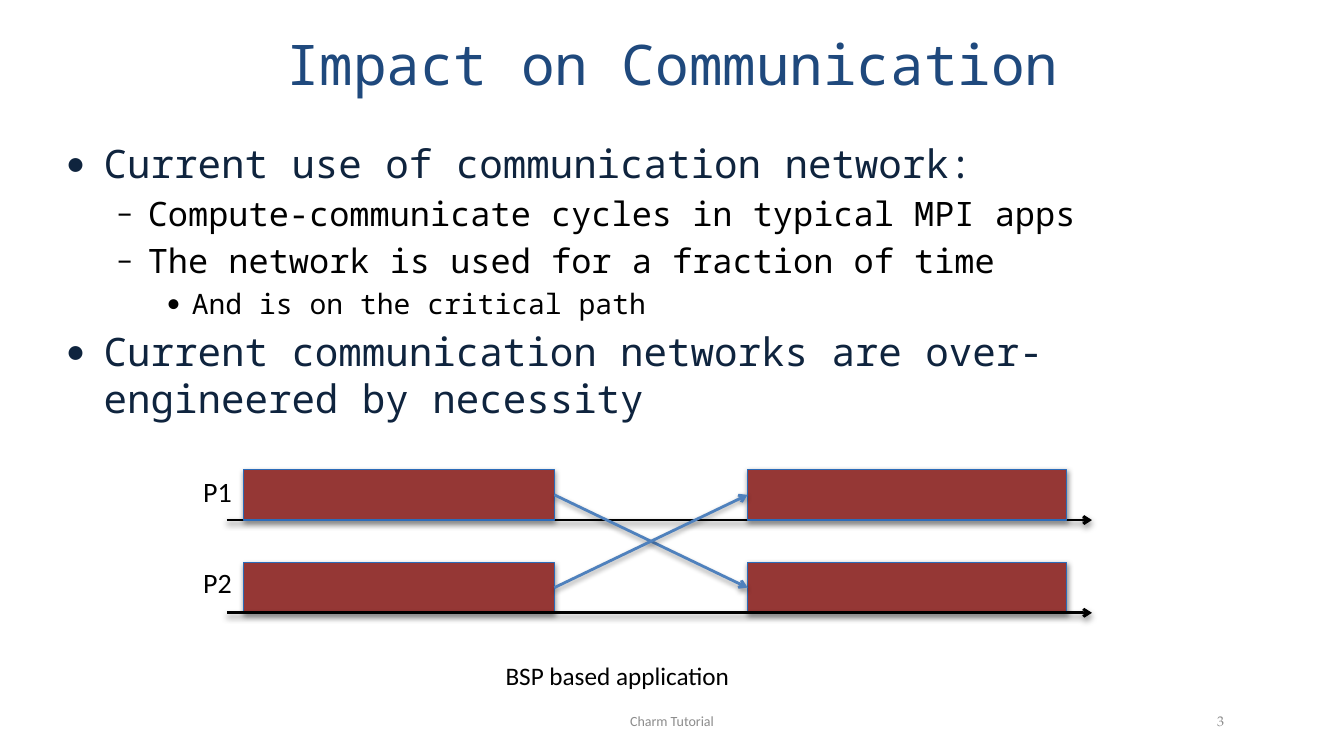
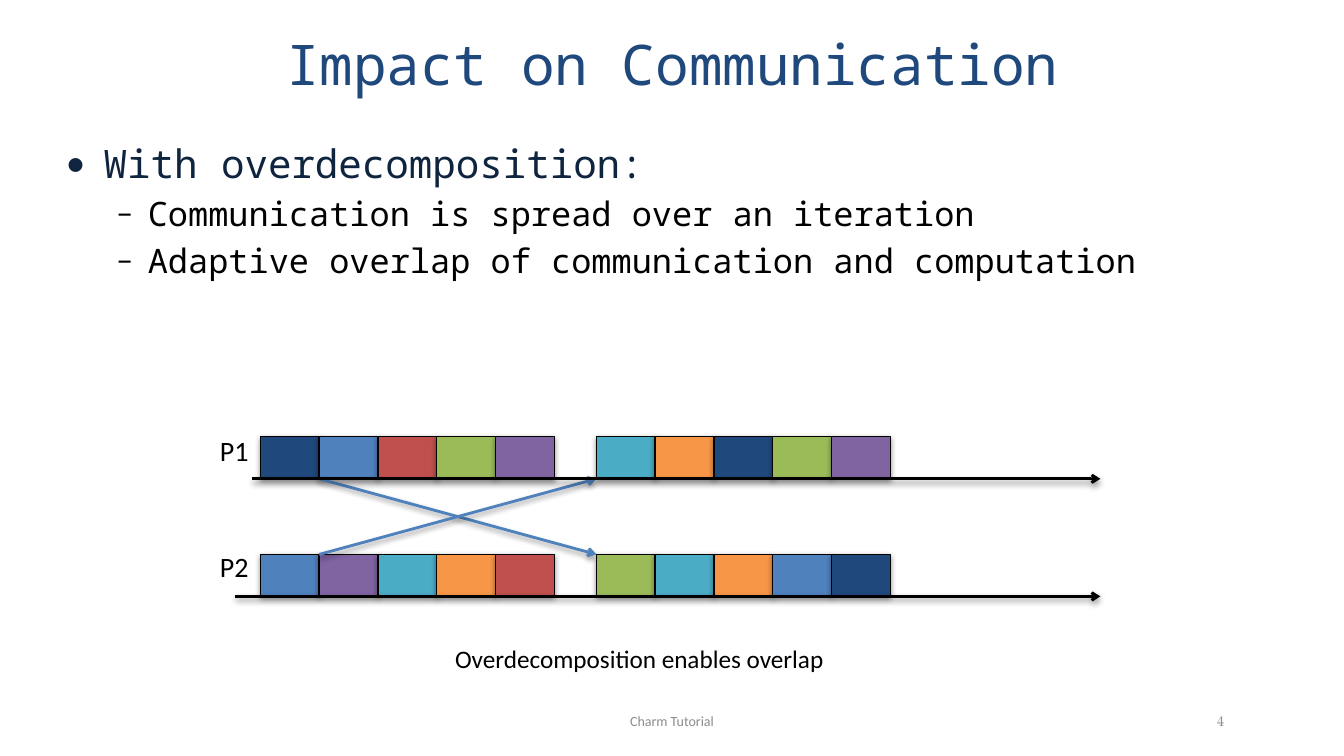
from collections import namedtuple
from dataclasses import dataclass

from lxml.etree import SubElement
from pptx import Presentation
from pptx.dml.color import RGBColor
from pptx.enum.shapes import MSO_CONNECTOR as CONNECTOR, MSO_SHAPE as SHAPE
from pptx.enum.text import MSO_ANCHOR as ANCHOR, PP_ALIGN as ALIGN
from pptx.oxml.ns import qn
from pptx.util import Pt

Box = namedtuple("Box", "left top width height")


@dataclass(frozen=True)
class Theme:
    """Colours, fonts and sizes shared by the slides."""
    navy: str = "1F497D"
    dark: str = "0F243E"
    blue: str = "4F81BD"
    red: str = "C0504D"
    green: str = "9BBB59"
    purple: str = "8064A2"
    teal: str = "4BACC6"
    orange: str = "F79646"
    brick: str = "953735"
    edge: str = "2C6CB9"
    black: str = "000000"
    grey: str = "8C8C8C"
    mono: str = "Noto Sans Mono"
    sans: str = "Calibri"
    serif: str = "TeX Gyre Pagella"
    title: int = 40
    label: int = 20
    caption: int = 18
    footer: int = 10


THEME = Theme()
LEVELS = (
    {"bullet": "•", "margin": 27, "hang": 27, "size": 28, "color": THEME.dark},
    {"bullet": "–", "margin": 58.5, "hang": 22.5, "size": 24, "color": THEME.black},
    {"bullet": "•", "margin": 90, "hang": 18, "size": 20, "color": THEME.black},
)


def apply_format(target, values):
    """Set each named attribute of the target."""
    for name, value in values.items():
        setattr(target, name, value)


def apply_font(paragraph, font_name, size, color):
    """Set the face, size and colour of a paragraph."""
    apply_format(paragraph.font, {"name": font_name, "size": Pt(size)})
    paragraph.font.color.rgb = RGBColor.from_string(color)


def apply_line(line, color, width):
    """Set the colour and width of a line."""
    line.color.rgb = RGBColor.from_string(color)
    line.width = Pt(width)


def add_shadow(shape, distance, opacity):
    """Give a shape or connector a soft shadow straight below it."""
    effects = SubElement(shape.element.spPr, qn("a:effectLst"))
    shadow = SubElement(effects, qn("a:outerShdw"), blurRad=str(Pt(4)),
                        dist=str(Pt(distance)), dir="5400000", rotWithShape="0")
    color = SubElement(shadow, qn("a:srgbClr"), val=THEME.black)
    SubElement(color, qn("a:alpha"), val=str(opacity * 1000))


def add_frame(slide, box, anchor=ANCHOR.TOP):
    """Add a wrapping text box and return its text frame."""
    frame = slide.shapes.add_textbox(*map(Pt, box)).text_frame
    apply_format(frame, {"word_wrap": True, "vertical_anchor": anchor})
    return frame


def add_text(slide, box, text, font, align=ALIGN.LEFT, anchor=ANCHOR.TOP):
    """Add a text box holding one paragraph."""
    paragraph = add_frame(slide, box, anchor).paragraphs[0]
    apply_format(paragraph, {"text": text, "alignment": align})
    apply_font(paragraph, *font)


def add_bullets(slide, box, items):
    """Fill the box with (level, text) bullet items."""
    frame = add_frame(slide, box)
    for index, (level, text) in enumerate(items):
        style = LEVELS[level]
        paragraph = frame.add_paragraph() if index else frame.paragraphs[0]
        before = 0.2 * style["size"] if index else 0
        apply_format(paragraph, {"text": text, "level": level, "space_before": Pt(before)})
        properties = paragraph._p.get_or_add_pPr()
        properties.set("marL", str(Pt(style["margin"])))
        properties.set("indent", str(-Pt(style["hang"])))
        SubElement(properties, qn("a:buFont"), typeface=THEME.sans)
        SubElement(properties, qn("a:buChar"), char=style["bullet"])
        apply_font(paragraph, THEME.mono, style["size"], style["color"])


def add_bar(slide, box, fill, edge):
    """Add a filled rectangle with a shadow."""
    bar = slide.shapes.add_shape(SHAPE.RECTANGLE, *map(Pt, box))
    bar.fill.solid()
    bar.fill.fore_color.rgb = RGBColor.from_string(fill)
    apply_line(bar.line, edge, 1)
    add_shadow(bar, 1.6, 42)
    return bar


def add_arrow(slide, start, end, color):
    """Add a straight arrow between two points."""
    arrow = slide.shapes.add_connector(CONNECTOR.STRAIGHT, *map(Pt, (*start, *end)))
    apply_line(arrow.line, color, 2)
    SubElement(arrow.line._get_or_add_ln(), qn("a:tailEnd"), type="arrow")
    add_shadow(arrow, 2, 40)
    return arrow


def add_labels(slide, left, tops):
    """Name the two processors."""
    for number, top in enumerate(tops, 1):
        add_text(slide, Box(left, top, 42, 32), f"P{number}",
                 (THEME.sans, THEME.label, THEME.black))


def add_bulk_diagram(slide, box):
    """Draw two processors that compute, exchange and compute again."""
    bar_height, pitch = 36, 66.25
    spans = ((36, 222), (396, 228))
    tops = [box.top + row * pitch for row in range(2)]
    right = box.left + box.width

    def draw_axis(top):
        """Draw the time axis under a row."""
        base = top + bar_height
        add_arrow(slide, (box.left + 24, base), (right, base), THEME.black)

    draw_axis(tops[0])
    rows = [[add_bar(slide, Box(box.left + offset, top, width, bar_height),
                     THEME.brick, THEME.edge) for offset, width in spans]
            for top in tops]
    for (sender, _), (_, receiver) in zip(rows, reversed(rows)):
        arrow = add_arrow(slide, (0, 0), (1, 1), THEME.blue)
        arrow.begin_connect(sender, 3)
        arrow.end_connect(receiver, 1)
    draw_axis(tops[1])
    add_labels(slide, box.left, (tops[0], tops[1] - 1.5))
    add_text(slide, Box(box.left + 216, box.top + 132.5, 264, 29),
             "BSP based application", (THEME.sans, THEME.caption, THEME.black))


def add_overlap_diagram(slide, box):
    """Draw two processors whose small tasks overlap with messages."""
    theme = THEME
    cell_width, cell_height, pitch = 42, 30, 84
    starts = (box.left + 36, box.left + 276)
    tops = (box.top, box.top + pitch)
    bases = [top + cell_height for top in tops]
    tasks = (
        ((theme.navy, theme.blue, theme.red, theme.green, theme.purple),
         (theme.teal, theme.orange, theme.navy, theme.green, theme.purple)),
        ((theme.blue, theme.purple, theme.teal, theme.orange, theme.red),
         (theme.green, theme.teal, theme.orange, theme.blue, theme.navy)),
    )
    for top, groups in zip(tops, tasks):
        for start, colors in zip(starts, groups):
            for column, color in enumerate(colors):
                cell = Box(start + column * cell_width, top, cell_width, cell_height)
                add_bar(slide, cell, color, theme.black)
    facing = (bases[0], tops[1])
    for sent, received in zip(facing, reversed(facing)):
        add_arrow(slide, (starts[0] + cell_width, sent), (starts[1], received), theme.blue)
    for offset, base in zip((30, 18), bases):
        add_arrow(slide, (box.left + offset, base), (box.left + box.width, base), theme.black)
    add_labels(slide, box.left, (tops[0] - 6, tops[1] - 7))
    add_text(slide, Box(box.left + 168, box.top + 144, 360, 29),
             "Overdecomposition enables overlap", (theme.sans, theme.caption, theme.black))


def add_footer(slide, box, number):
    """Place the deck name and the slide number."""
    add_text(slide, Box(box.left, box.top, 370, box.height), "Charm Tutorial",
             (THEME.sans, THEME.footer, THEME.grey), ALIGN.CENTER, ANCHOR.MIDDLE)
    add_text(slide, Box(box.left + box.width - 101.5, box.top, 101.5, box.height),
             str(number), (THEME.serif, THEME.footer, THEME.grey), ALIGN.RIGHT, ANCHOR.MIDDLE)


def add_topic_slide(presentation, number, items, draw_diagram, diagram_box):
    """Build one slide with title, bullets, diagram and footer."""
    slide = presentation.slides.add_slide(presentation.slide_layouts[6])
    add_text(slide, Box(32, 12, 896, 66), "Impact on Communication",
             (THEME.mono, THEME.title, THEME.navy), ALIGN.CENTER, ANCHOR.MIDDLE)
    add_bullets(slide, Box(40, 96, 872, 386.5), items)
    draw_diagram(slide, diagram_box)
    add_footer(slide, Box(295, 500.5, 586.5, 29), number)


def main():
    """Build and save the presentation."""
    presentation = Presentation()
    apply_format(presentation, {"slide_width": Pt(960), "slide_height": Pt(540)})
    add_topic_slide(presentation, 3, (
        (0, "Current use of communication network:"),
        (1, "Compute-communicate cycles in typical MPI apps"),
        (1, "The network is used for a fraction of time"),
        (2, "And is on the critical path"),
        (0, "Current communication networks are over-engineered by necessity"),
    ), add_bulk_diagram, Box(138, 335.5, 642, 161.5))
    add_topic_slide(presentation, 4, (
        (0, "With overdecomposition:"),
        (1, "Communication is spread over an iteration"),
        (1, "Adaptive overlap of communication and computation"),
    ), add_overlap_diagram, Box(150, 312, 636, 173))
    presentation.save("out.pptx")


if __name__ == "__main__":
    main()
